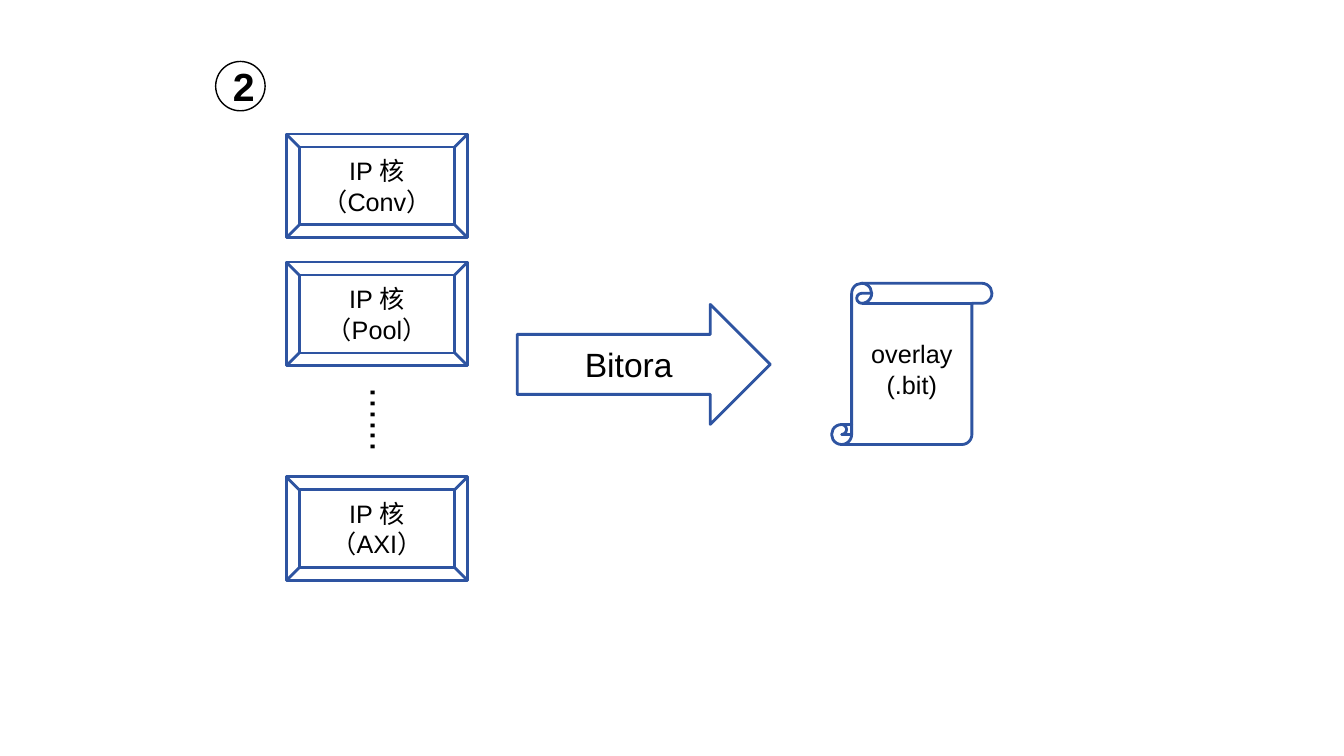
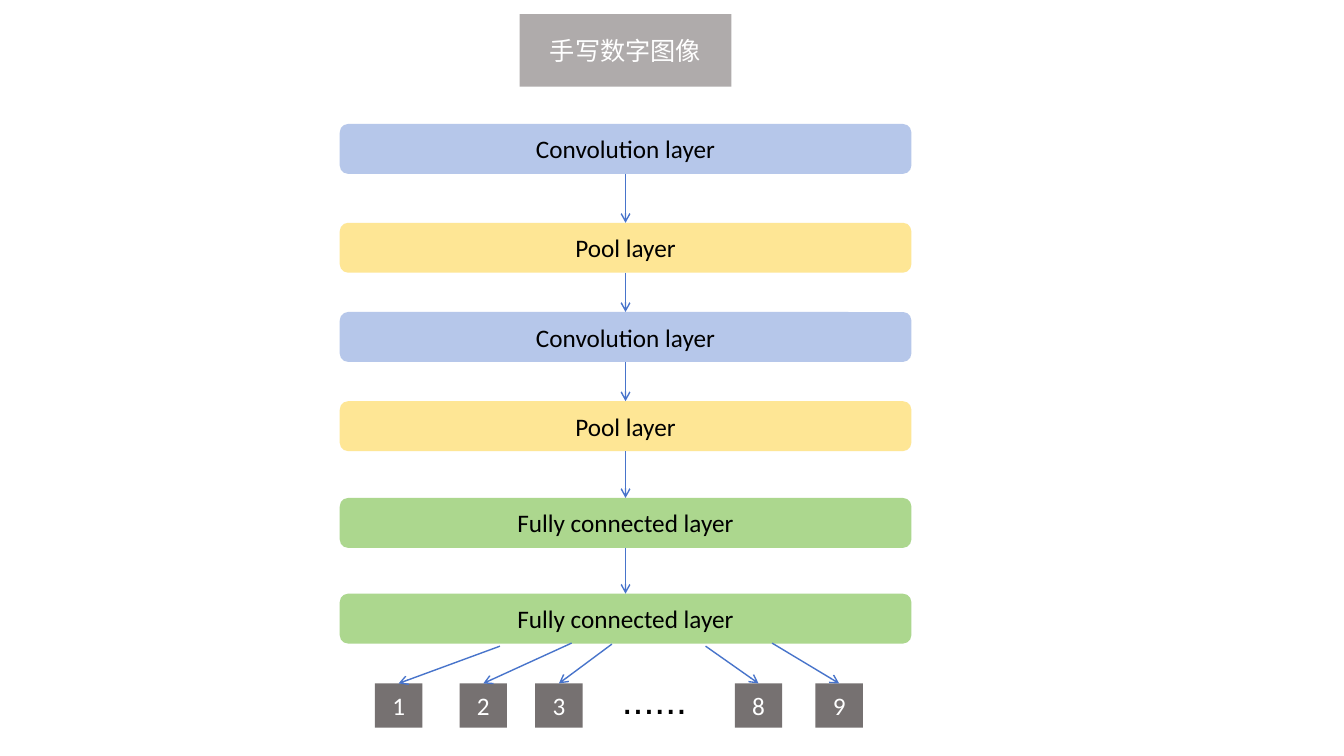
"""Build two slides: the hardware overlay flow and the digit recognition network."""
from dataclasses import dataclass
from itertools import pairwise

from pptx import Presentation
from pptx.dml.color import RGBColor
from pptx.enum.shapes import MSO_CONNECTOR, MSO_SHAPE
from pptx.enum.text import MSO_ANCHOR, MSO_AUTO_SIZE, PP_ALIGN
from pptx.oxml.ns import qn
from pptx.oxml.xmlchemy import OxmlElement
from pptx.util import Inches, Pt

RECT, ROUNDED = MSO_SHAPE.RECTANGLE, MSO_SHAPE.ROUNDED_RECTANGLE
OVAL, BEVEL = MSO_SHAPE.OVAL, MSO_SHAPE.BEVEL
BLOCK_ARROW, SCROLL = MSO_SHAPE.RIGHT_ARROW, MSO_SHAPE.VERTICAL_SCROLL
STRAIGHT = MSO_CONNECTOR.STRAIGHT
CENTER, LEFT = PP_ALIGN.CENTER, PP_ALIGN.LEFT
MIDDLE = MSO_ANCHOR.MIDDLE
GROW = MSO_AUTO_SIZE.SHAPE_TO_FIT_TEXT
BLANK_LAYOUT = 6


@dataclass(frozen=True)
class Theme:
    """Colours, fonts and point sizes used on both slides."""
    ink: str = "000000"
    paper: str = "FFFFFF"
    outline: str = "2E54A1"
    arrow: str = "4874CB"
    convolution: str = "B6C7EA"
    pool: str = "FEE695"
    connected: str = "ACD78E"
    source: str = "AFABAB"
    digit: str = "767171"
    diagram_font: str = "Arial"
    network_font: str = "Calibri"
    body: int = 18
    tool: int = 24
    display: int = 28
    thin: int = 1
    thick: int = 2


THEME = Theme()
WIDTH, HEIGHT = Inches(13.333), Inches(7.5)


def across(share):
    """Turn a percentage of the slide width into a length."""
    return round(WIDTH * share / 100)


def down(share):
    """Turn a percentage of the slide height into a length."""
    return round(HEIGHT * share / 100)


def place(area):
    """Turn left, top, width and height percentages into lengths."""
    left, top, width, height = area
    return across(left), down(top), across(width), down(height)


def write(box, lines, font, size, color, align=CENTER, bold=False):
    """Write one paragraph per line into a box."""
    frame = box.text_frame
    frame.word_wrap = True
    for index, line in enumerate(lines):
        para = frame.add_paragraph() if index else frame.paragraphs[0]
        para.text = line
        para.alignment = align
        para.font.name = font
        para.font.size = Pt(size)
        para.font.bold = bold
        para.font.color.rgb = RGBColor.from_string(color)


def add_box(page, kind, area):
    """Add a shape without shadow whose text is centred vertically."""
    box = page.shapes.add_shape(kind, *place(area))
    box.shadow.inherit = False
    box.text_frame.vertical_anchor = MIDDLE
    return box


def add_outlined(page, kind, area, lines, size=THEME.body,
                 color=THEME.outline, weight=THEME.thick, bold=False):
    """Add an unfilled shape with an outline and dark text."""
    box = add_box(page, kind, area)
    box.fill.background()
    box.line.color.rgb = RGBColor.from_string(color)
    box.line.width = Pt(weight)
    write(box, lines, THEME.diagram_font, size, THEME.ink, bold=bold)


def add_filled(page, kind, area, label, fill, color):
    """Add a filled shape without outline."""
    box = add_box(page, kind, area)
    box.fill.solid()
    box.fill.fore_color.rgb = RGBColor.from_string(fill)
    box.line.fill.background()
    write(box, [label], THEME.network_font, THEME.body, color)


def add_dots(page, left, top, rotation=0):
    """Add a row of dots that stands for omitted items."""
    box = page.shapes.add_textbox(*place((left, top, 6.6, 7.6)))
    box.rotation = rotation
    write(box, ["......"], THEME.diagram_font, THEME.display, THEME.ink, LEFT)
    box.text_frame.auto_size = GROW


def add_arrow(page, start, end):
    """Add a thin line with an open arrowhead at its end."""
    (x1, y1), (x2, y2) = start, end
    arrow = page.shapes.add_connector(
        STRAIGHT, across(x1), down(y1), across(x2), down(y2))
    arrow.line.color.rgb = RGBColor.from_string(THEME.arrow)
    arrow.line.width = Pt(THEME.thin)
    head = OxmlElement("a:tailEnd")
    head.set("type", "arrow")
    properties = arrow._element.find(qn("p:spPr"))
    properties.find(qn("a:ln")).append(head)
    properties.append(OxmlElement("a:effectLst"))


def build_overlay_flow(page):
    """Show how IP cores are turned into an overlay file."""
    add_outlined(page, OVAL, (16.05, 8.13, 3.68, 6.53), ["2"], THEME.display,
                 THEME.ink, THEME.thin, bold=True)
    for core, top in (("Conv", 17.73), ("Pool", 34.67), ("AXI", 63.07)):
        add_outlined(page, BEVEL, (21.3, top, 13.5, 13.73),
                     ["IP 核", f"（{core}）"])
    add_dots(page, 25.43, 52, rotation=90)
    add_outlined(page, BLOCK_ARROW, (38.48, 40.27, 18.83, 15.87),
                 ["Bitora"], THEME.tool)
    add_outlined(page, SCROLL, (61.88, 37.47, 11.93, 21.33),
                 ["overlay", "(.bit)"])


def build_network(page):
    """Show the layers of the network from image to digits."""
    left, width, height = 25.28, 42.53, 6.6
    middle = left + width / 2
    convolution = ("Convolution layer", THEME.convolution)
    pool = ("Pool layer", THEME.pool)
    connected = ("Fully connected layer", THEME.connected)
    layers = [convolution, pool] * 2 + [connected] * 2
    tops = (16.4, 29.47, 41.27, 53.07, 65.87, 78.53)

    add_filled(page, RECT, (middle - 7.88, 1.87, 15.76, 9.6),
               "手写数字图像", THEME.source, THEME.paper)
    for (label, fill), top in zip(layers, tops):
        add_filled(page, ROUNDED, (left, top, width, height),
                   label, fill, THEME.ink)
    for upper, lower in pairwise(tops):
        add_arrow(page, (middle, upper + height), (middle, lower))

    digit_top, digit_width, digit_height = 90.4, 3.53, 5.87
    digits = (
        ("1", 29.66, (37.2, 85.47)),
        ("2", 35.96, (42.53, 85.07)),
        ("3", 41.59, (45.53, 85.2)),
        ("8", 56.44, (52.5, 85.47)),
        ("9", 62.44, (57.45, 85.07)),
    )
    for digit, center, start in digits:
        add_filled(page, RECT, (center - digit_width / 2, digit_top,
                                digit_width, digit_height),
                   digit, THEME.digit, THEME.paper)
        add_arrow(page, start, (center, digit_top))
    add_dots(page, 45.53, 88.67)


def main():
    """Build and save the deck."""
    deck = Presentation()
    deck.slide_width, deck.slide_height = WIDTH, HEIGHT
    for build in (build_overlay_flow, build_network):
        build(deck.slides.add_slide(deck.slide_layouts[BLANK_LAYOUT]))
    deck.save("out.pptx")


if __name__ == "__main__":
    main()
